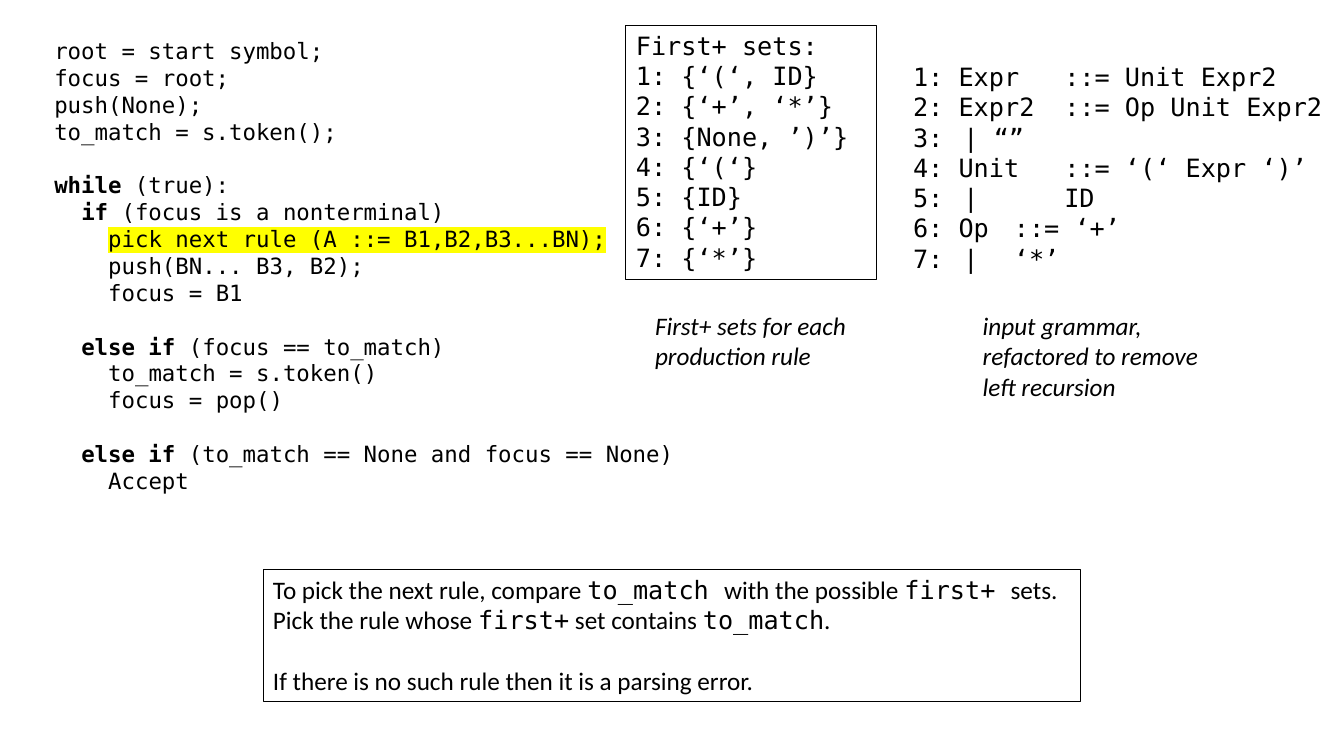
from dataclasses import dataclass

from lxml.etree import Element, SubElement
from pptx import Presentation
from pptx.dml.color import RGBColor
from pptx.enum.shapes import MSO_SHAPE as Preset
from pptx.enum.text import MSO_ANCHOR as Anchor, PP_ALIGN as Align
from pptx.oxml.ns import qn
from pptx.util import Pt


@dataclass(frozen=True)
class Theme:
    ink: str = "000000"
    marker: str = "FFFF00"
    mono: str = "DejaVu Sans Mono"
    sans: str = "Calibri"
    code_size: float = 16
    body_size: float = 18
    mono_advance: float = 0.602
    mono_leading: float = 1.2


theme = Theme()
ink = RGBColor.from_string(theme.ink)


def add_box(left, top, width, height, framed=False):
    if framed:
        box = slide.shapes.add_shape(
            Preset.RECTANGLE, Pt(left), Pt(top), Pt(width), Pt(height))
        box.shadow.inherit = False
        box.fill.background()
        box.line.color.rgb = ink
        box.line.width = Pt(0.75)
    else:
        box = slide.shapes.add_textbox(Pt(left), Pt(top), Pt(width), Pt(height))
    box.text_frame.word_wrap = True
    box.text_frame.vertical_anchor = Anchor.TOP
    return box.text_frame


def add_line(frame, spans, size, gap=0, indent=0, tabs=()):
    """Append one paragraph of (text, styles) spans; indent and tabs count mono characters."""
    para = frame.paragraphs[0]
    if para.runs:
        para = frame.add_paragraph()
    para.alignment = Align.LEFT
    para.space_before = Pt(gap)
    if all("mono" in styles for _, styles in spans):
        para.line_spacing = Pt(size * theme.mono_leading)
    advance = size * theme.mono_advance
    properties = para._p.get_or_add_pPr()
    properties.set("marL", str(Pt(indent * advance)))
    properties.set("indent", "0")
    if tabs:
        tab_list = SubElement(properties, qn("a:tabLst"))
        for column in tabs:
            SubElement(tab_list, qn("a:tab"), pos=str(Pt(column * advance)), algn="l")
    for text, styles in spans:
        span = para.add_run()
        span.text = text
        font = span.font
        font.size = Pt(size)
        font.color.rgb = ink
        font.name = theme.mono if "mono" in styles else theme.sans
        font.bold = "bold" in styles
        font.italic = "italic" in styles
        if "marked" in styles:
            highlight = Element(qn("a:highlight"))
            SubElement(highlight, qn("a:srgbClr"), val=theme.marker)
            span._r.rPr.find(qn("a:solidFill")).addnext(highlight)


deck = Presentation()
deck.slide_width, deck.slide_height = Pt(960), Pt(540)
slide = deck.slides.add_slide(deck.slide_layouts[6])

# Parsing algorithm: (indent, keyword, rest of line, starts a new group)
algorithm = [
    (0, "", "root = start symbol;", False),
    (0, "", "focus = root;", False),
    (0, "", "push(None);", False),
    (0, "", "to_match = s.token();", False),
    (0, "while", " (true):", True),
    (2, "if", " (focus is a nonterminal)", False),
    (4, "", "pick next rule (A ::= B1,B2,B3...BN);", False),
    (4, "", "push(BN... B3, B2);", False),
    (4, "", "focus = B1", False),
    (2, "else if ", "(focus == to_match)", True),
    (4, "", "to_match = s.token()", False),
    (4, "", "focus = pop()", False),
    (2, "else if ", "(to_match == None and focus == None)", True),
    (4, "", "Accept", False),
]
code = add_box(31.7, 23, 471.6, 337)
for indent, keyword, rest, new_group in algorithm:
    rest_style = "mono marked" if rest.startswith("pick") else "mono"
    spans = [(keyword, "mono bold")] if keyword else []
    gap = theme.code_size * theme.mono_leading if new_group else 0
    add_line(code, spans + [(rest, rest_style)], theme.code_size, gap, indent)

# Grammar, with its columns on tab stops
grammar = add_box(645.1, 40.3, 308.2, 159.8)
for rule in [
    "1: Expr\t::= Unit Expr2",
    "2: Expr2\t::= Op Unit Expr2",
    "3:\t| “”",
    "4: Unit\t::= ‘(‘ Expr ‘)’",
    "5:\t|\t\tID",
    "6: Op\t::= ‘+’",
    "7:\t|\t‘*’",
]:
    add_line(grammar, [(rule, "mono")], theme.body_size, tabs=(9, 13, 14))

# First+ sets
first_sets = add_box(447.1, 18, 179.3, 181.4, framed=True)
add_line(first_sets, [("First+ sets:", "mono")], theme.body_size)
members = ["‘(‘, ID", "‘+’, ‘*’", "None, ’)’", "‘(‘", "ID", "‘+’", "‘*’"]
for number, member in enumerate(members, 1):
    add_line(first_sets, [(f"{number}: {{{member}}}", "mono")], theme.body_size)

# Rule for choosing a production
advice = add_box(187.9, 406.8, 583.9, 94.3, framed=True)
add_line(advice, [
    ("To pick the next rule, compare ", ""), ("to_match ", "mono"),
    ("with the possible ", ""), ("first+ ", "mono"), ("sets.", ""),
], theme.body_size)
add_line(advice, [
    ("Pick the rule whose ", ""), ("first+", "mono"),
    (" set contains ", ""), ("to_match", "mono"), (".", ""),
], theme.body_size)
add_line(advice, [("If there is no such rule then it is a parsing error.", "")],
         theme.body_size, gap=22)

# Captions
for left, width, height, lines in [
    (694.8, 171.4, 72.7, ["input grammar,", "refactored to remove", "left recursion"]),
    (460.8, 152.6, 51.1, ["First+ sets for each", "production rule"]),
]:
    caption = add_box(left, 218.2, width, height)
    for line in lines:
        add_line(caption, [(line, "italic")], theme.body_size)

deck.save("out.pptx")
